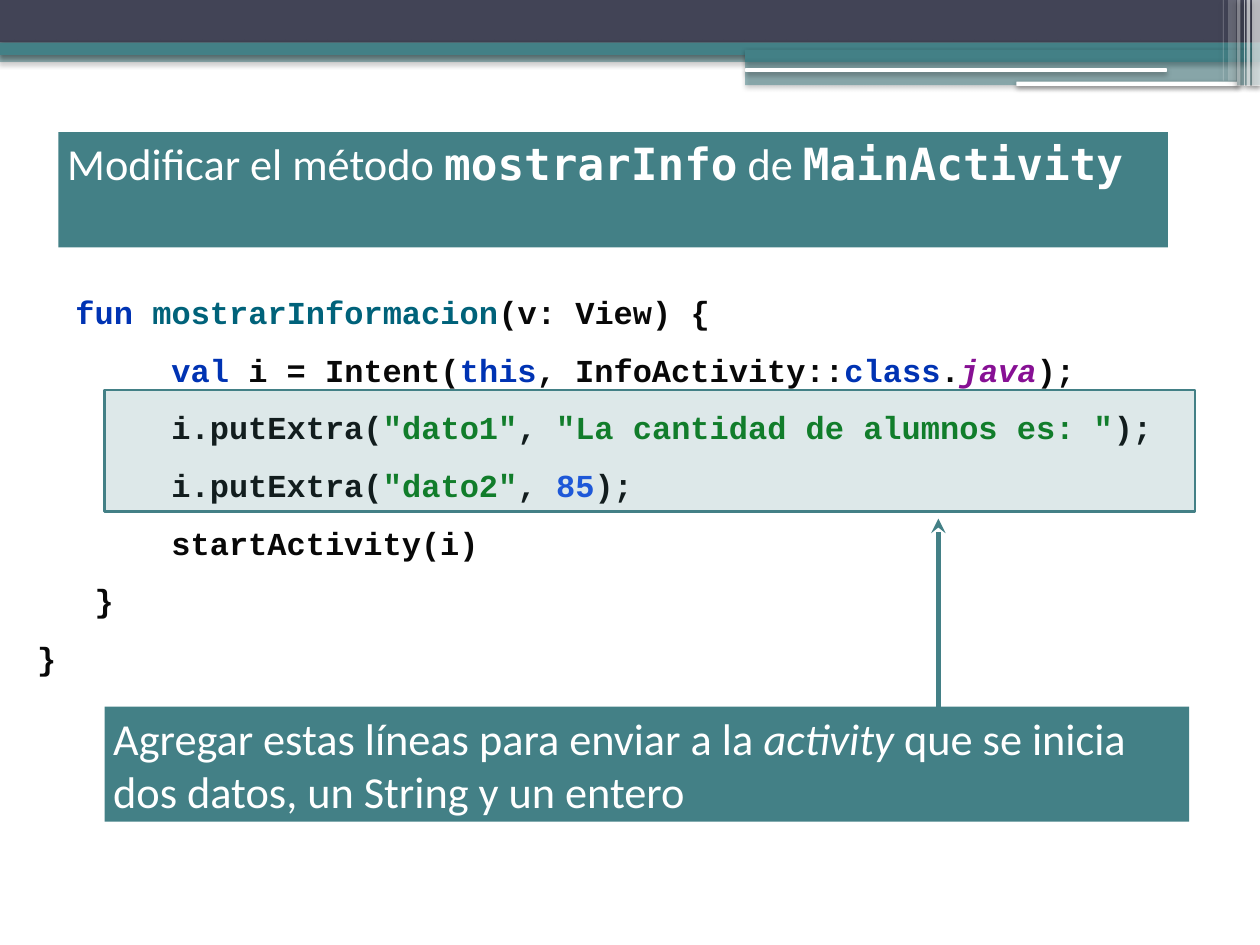
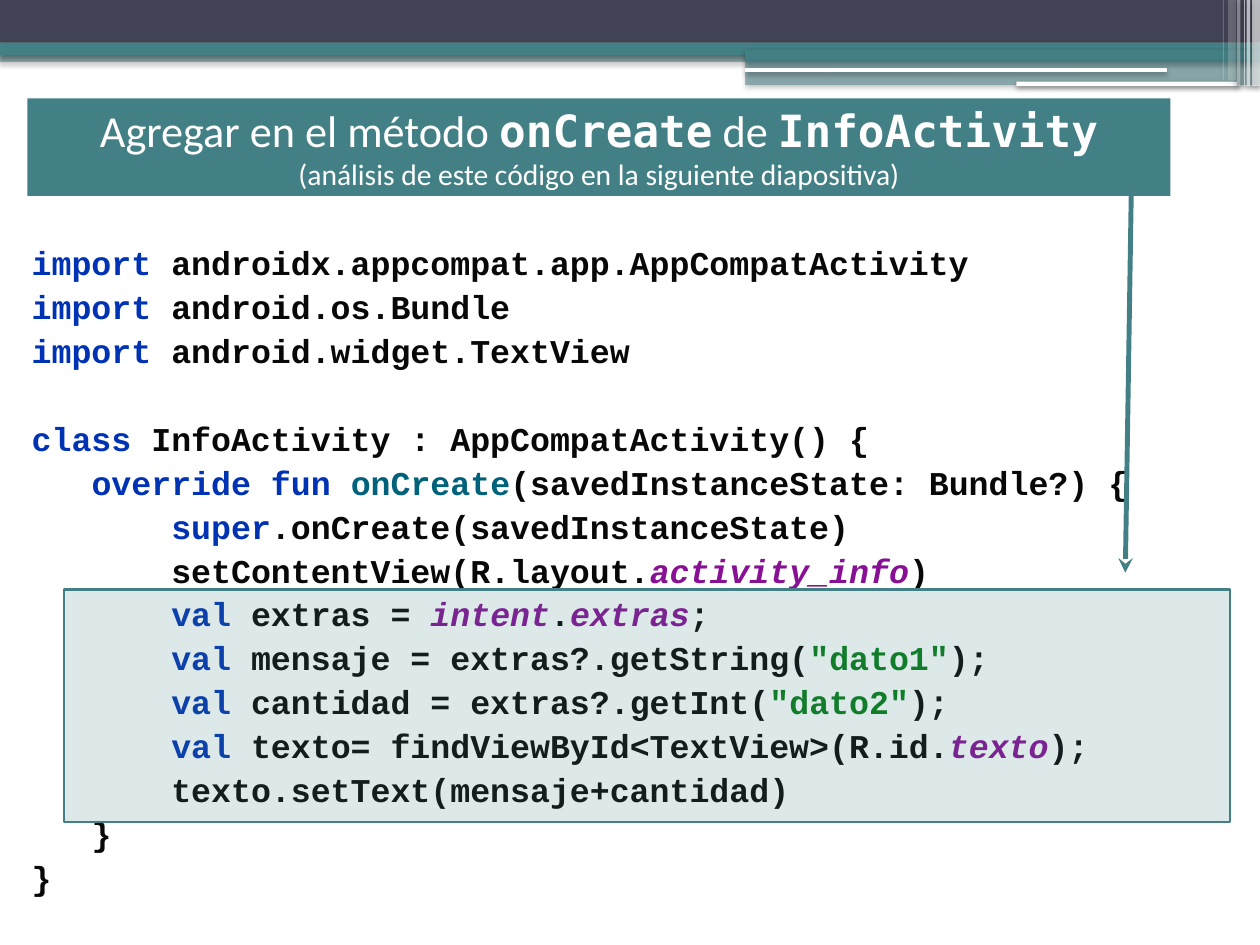
from dataclasses import dataclass, replace

from lxml.etree import SubElement
from pptx import Presentation
from pptx.dml.color import RGBColor
from pptx.enum.shapes import MSO_CONNECTOR as Connector, MSO_SHAPE as Shape
from pptx.enum.text import MSO_ANCHOR as Anchor, PP_ALIGN as Align
from pptx.oxml.ns import qn
from pptx.util import Inches, Pt


@dataclass(frozen=True)
class Theme:
    teal: str = "438086"
    navy: str = "424456"
    white: str = "FFFFFF"
    shadow: str = "000000"
    ink: str = "080808"
    keyword: str = "0033B3"
    function: str = "00627A"
    string: str = "067D17"
    number: str = "1750EB"
    member: str = "871094"
    body_font: str = "Calibri"
    code_font: str = "Courier New"
    name_font: str = "DejaVu Sans Mono"
    heading_size: int = 36
    note_size: int = 24
    frame_width: int = 2
    arrow_width: int = 4


@dataclass(frozen=True)
class Style:
    color: str
    font: str
    size: int = 0
    bold: bool = False
    italic: bool = False


THEME = Theme()
SLIDE_WIDTH, SLIDE_HEIGHT = 14.22, 10.66

HEADING = Style(THEME.white, THEME.body_font, THEME.heading_size)
EMPHASIS = replace(HEADING, italic=True)
NAME = replace(HEADING, font=THEME.name_font, bold=True)
NOTE = replace(HEADING, size=THEME.note_size)

PLAIN = Style(THEME.ink, THEME.code_font, bold=True)
KEYWORD = replace(PLAIN, color=THEME.keyword)
FUNCTION = replace(PLAIN, color=THEME.function)
STRING = replace(PLAIN, color=THEME.string)
NUMBER = replace(PLAIN, color=THEME.number)
MEMBER = replace(PLAIN, color=THEME.member, italic=True)

VAL = ("val ", KEYWORD)
IMPORT = ("import ", KEYWORD)

# Each code line is its indent in characters, then its fragments.
SEND_CODE = [
    (2, ("fun ", KEYWORD), ("mostrarInformacion", FUNCTION), "(v: View) {"),
    (7, VAL, "i = Intent(", ("this", KEYWORD), ", InfoActivity::",
     ("class", KEYWORD), ".", ("java", MEMBER), ");"),
    (7, "i.putExtra(", ('"dato1"', STRING), ", ",
     ('"La cantidad de alumnos es: "', STRING), ");"),
    (7, "i.putExtra(", ('"dato2"', STRING), ", ", ("85", NUMBER), ");"),
    (7, "startActivity(i)"),
    (3, "}"),
    (0, "}"),
]
IMPORT_CODE = [
    (0, IMPORT, "androidx.appcompat.app.AppCompatActivity"),
    (0, IMPORT, "android.os.Bundle"),
    (0, IMPORT, "android.widget.TextView"),
]
CLASS_CODE = [
    (0, ("class ", KEYWORD), "InfoActivity : AppCompatActivity() {"),
    (3, ("override fun ", KEYWORD), ("onCreate", FUNCTION),
     "(savedInstanceState: Bundle?) {"),
    (7, ("super", KEYWORD), ".onCreate(savedInstanceState)"),
    (7, "setContentView(R.layout.", ("activity_info", MEMBER), ")"),
    (7, VAL, "extras = ", ("intent", MEMBER), ".", ("extras", MEMBER), ";"),
    (7, VAL, "mensaje = extras?.getString(", ('"dato1"', STRING), ");"),
    (7, VAL, "cantidad = extras?.getInt(", ('"dato2"', STRING), ");"),
    (7, VAL, "texto= findViewById<TextView>(R.id.", ("texto", MEMBER), ");"),
    (7, "texto.setText(mensaje+cantidad)"),
    (3, "}"),
    (0, "}"),
]


def rgb(color):
    return RGBColor.from_string(color)


def add_box(slide, box, color, opacity=100, preset=Shape.RECTANGLE):
    """Add a filled shape without outline or shadow; box is left, top, width, height."""
    shape = slide.shapes.add_shape(preset, *map(Inches, box))
    shape.shadow.inherit = False
    shape.fill.solid()
    shape.fill.fore_color.rgb = rgb(color)
    shape.line.fill.background()
    if opacity < 100:
        fill_color = shape.element.xpath("./p:spPr/a:solidFill/a:srgbClr")[0]
        SubElement(fill_color, qn("a:alpha"), val=str(opacity * 1000))
    return shape


def add_shadow(shape):
    effects = shape.element.xpath("./p:spPr/a:effectLst")[0]
    shadow = SubElement(effects, qn("a:outerShdw"), blurRad=str(Pt(4.1)),
                        dist=str(Pt(2)), dir="5400000", algn="t", rotWithShape="0")
    color = SubElement(shadow, qn("a:srgbClr"), val=THEME.shadow)
    SubElement(color, qn("a:alpha"), val="40000")


def add_runs(paragraph, fragments, plain):
    """Add fragments, each a (text, style) pair or a string in the plain style."""
    for fragment in fragments:
        text, style = (fragment, plain) if isinstance(fragment, str) else fragment
        run = paragraph.add_run()
        run.text = text
        font = run.font
        font.name, font.bold, font.italic = style.font, style.bold, style.italic
        font.size = Pt(style.size or plain.size)
        font.color.rgb = rgb(style.color)


def add_paragraphs(shape, lines, plain, align=Align.LEFT, anchor=Anchor.TOP):
    frame = shape.text_frame
    frame.word_wrap = True
    frame.vertical_anchor = anchor
    for index, fragments in enumerate(lines):
        paragraph = frame.add_paragraph() if index else frame.paragraphs[0]
        paragraph.alignment = align
        add_runs(paragraph, fragments, plain)
    return frame.paragraphs


def add_banner(slide, box, lines, align=Align.LEFT):
    add_paragraphs(add_box(slide, box, THEME.teal), lines, HEADING, align)


def add_code(slide, box, blocks, size, spacing):
    """Add blocks of code, one line's height apart, with indents in characters."""
    lines = [line for block in blocks for line in block]
    paragraphs = add_paragraphs(add_box(slide, box, THEME.white),
                                [fragments for _, *fragments in lines],
                                replace(PLAIN, size=size), anchor=Anchor.MIDDLE)
    for paragraph, (indent, *_) in zip(paragraphs, lines):
        paragraph.line_spacing = spacing
        properties = paragraph._p.get_or_add_pPr()
        properties.set("marL", str(Pt(indent * size * 0.6)))
        properties.set("indent", "0")
    start = 0
    for block in blocks[:-1]:
        start += len(block)
        paragraphs[start].space_before = Pt(round(size * spacing * 1.2, 1))


def add_highlight(slide, box):
    frame = add_box(slide, box, THEME.teal, opacity=18)
    frame.line.color.rgb = rgb(THEME.teal)
    frame.line.width = Pt(THEME.frame_width)


def add_arrow(slide, start, end):
    arrow = slide.shapes.add_connector(Connector.STRAIGHT, *map(Inches, start + end))
    arrow.line.color.rgb = rgb(THEME.teal)
    arrow.line.width = Pt(THEME.arrow_width)
    SubElement(arrow.element.xpath("./p:spPr/a:ln")[0], qn("a:tailEnd"), type="stealth")
    SubElement(arrow.element.spPr, qn("a:effectLst"))


def add_header(slide):
    bands = [
        ((0, 0.57, SLIDE_WIDTH, 0.13), THEME.teal, 50),
        ((0, 0, SLIDE_WIDTH, 0.48), THEME.navy, 100),
        ((0, 0.48, SLIDE_WIDTH, 0.14), THEME.teal, 100),
        ((8.41, 0.56, 5.81, 0.14), THEME.teal, 100),
        ((8.41, 0.68, 5.81, 0.28), THEME.teal, 50),
    ]
    rules = [(8.41, 0.77, 4.76, 0.04), (11.47, 0.92, 2.49, 0.05)]
    stripes = [  # left, width, height, opacity
        (14.13, 0.09, 0.97, 65), (14.07, 0.04, 0.97, 65), (14.04, 0.01, 0.97, 60),
        (13.96, 0.04, 0.97, 40), (13.86, 0.09, 0.91, 20), (13.8, 0.01, 0.91, 30),
    ]
    for box, color, opacity in bands:
        add_shadow(add_box(slide, box, color, opacity))
    for box in rules:
        add_shadow(add_box(slide, box, THEME.white, preset=Shape.ROUNDED_RECTANGLE))
    for left, width, height, opacity in stripes:
        add_shadow(add_box(slide, (left, 0, width, height), THEME.white, opacity))


def move_to_layout(slide, layout):
    """Make the slide's shapes the only content of the layout."""
    for placeholder in list(layout.placeholders):
        layout.shapes.element.remove(placeholder.element)
    for shape in list(slide.shapes):
        layout.shapes.element.append(shape.element)


def build_send_slide(slide):
    add_code(slide, (0.32, 2.86, 13.17, 5), [SEND_CODE], size=26, spacing=1.5)
    add_banner(slide, (0.66, 1.49, 12.52, 1.3), [
        ["Modificar el método ", ("mostrarInfo", NAME), " de ", ("MainActivity", NAME)]])
    add_banner(slide, (1.18, 7.97, 12.24, 1.3), [
        ["Agregar estas líneas para enviar a la ", ("activity", EMPHASIS),
         " que se inicia dos datos, un String y un entero"]])
    add_highlight(slide, (1.18, 4.4, 12.31, 1.37))
    add_arrow(slide, (10.59, 7.97), (10.59, 5.85))


def build_receive_slide(slide):
    add_code(slide, (0.26, 2.51, 13.7, 7.79), [IMPORT_CODE, CLASS_CODE],
             size=27, spacing=1.1)
    add_banner(slide, (0.31, 1.11, 12.9, 1.1), [
        ["Agregar en el método ", ("onCreate", NAME), " de ", ("InfoActivity", NAME)],
        [("(análisis de este código en la siguiente diapositiva)", NOTE)],
    ], Align.CENTER)
    add_highlight(slide, (0.72, 6.65, 13.16, 2.62))
    add_arrow(slide, (12.77, 2.02), (12.7, 6.46))


def main():
    presentation = Presentation()
    presentation.slide_width = Inches(SLIDE_WIDTH)
    presentation.slide_height = Inches(SLIDE_HEIGHT)
    blank = presentation.slide_layouts[6]
    send_slide = presentation.slides.add_slide(blank)
    add_header(send_slide)
    move_to_layout(send_slide, blank)
    build_send_slide(send_slide)
    build_receive_slide(presentation.slides.add_slide(blank))
    presentation.save("out.pptx")


if __name__ == "__main__":
    main()
